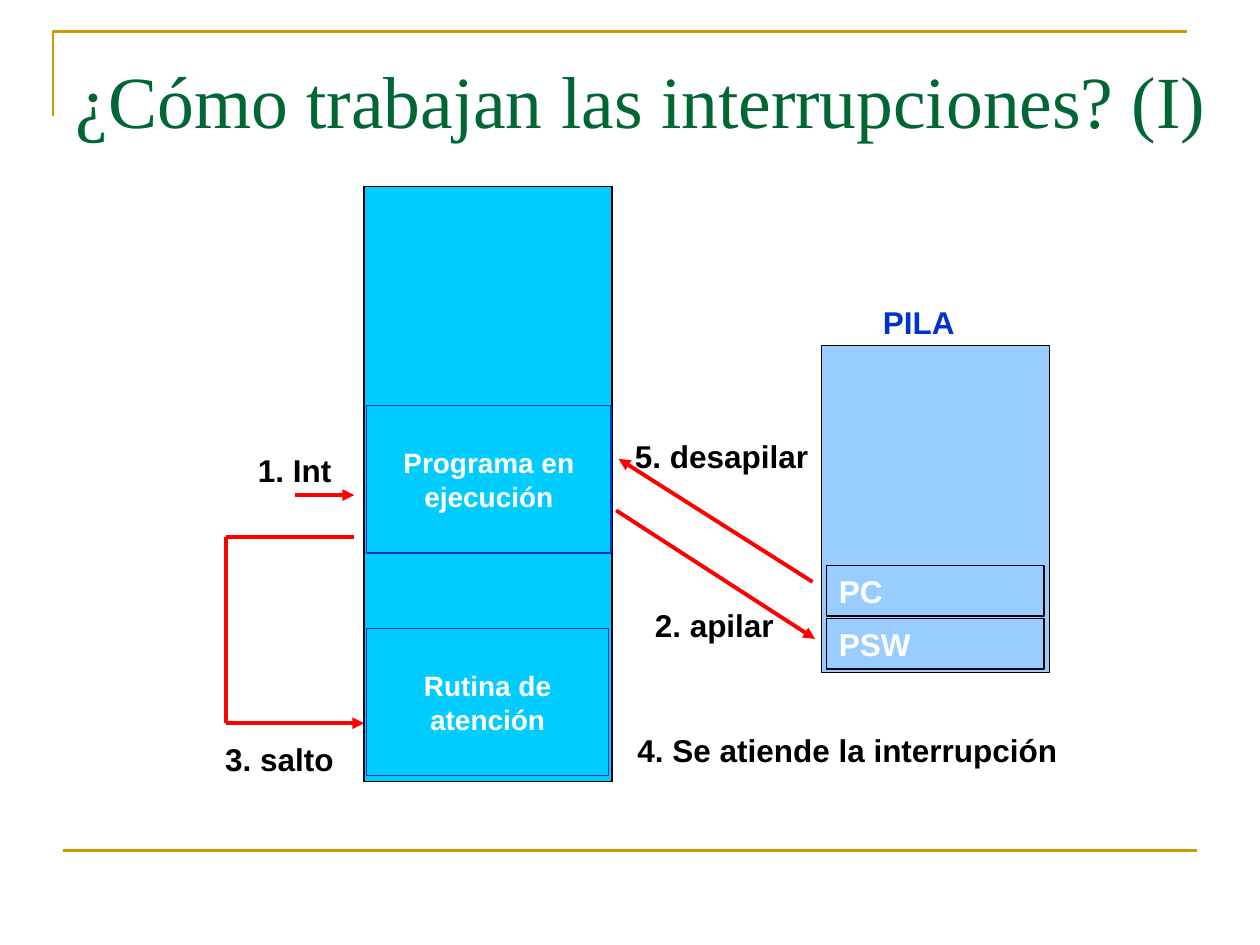
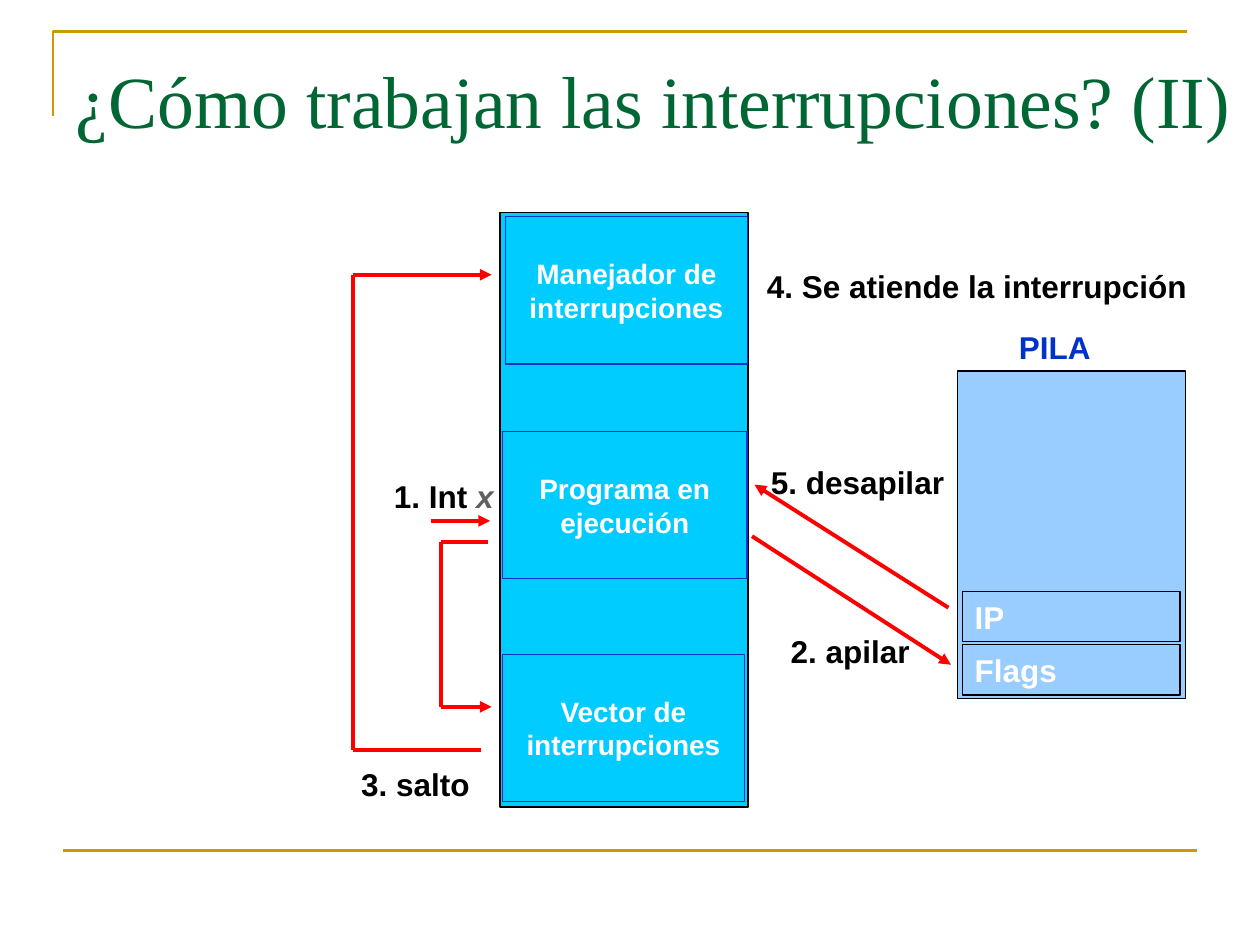
from itertools import pairwise

from lxml import etree
from pptx import Presentation
from pptx.dml.color import RGBColor
from pptx.enum.shapes import MSO_CONNECTOR, MSO_SHAPE
from pptx.enum.text import MSO_ANCHOR, PP_ALIGN
from pptx.oxml.ns import qn
from pptx.util import Cm, Pt

STRAIGHT = MSO_CONNECTOR.STRAIGHT
RECTANGLE = MSO_SHAPE.RECTANGLE
TOP, MIDDLE = MSO_ANCHOR.TOP, MSO_ANCHOR.MIDDLE
LEFT, CENTER = PP_ALIGN.LEFT, PP_ALIGN.CENTER

GOLD, GREEN, BLUE, RED = "CC9900", "006633", "0033CC", "FF0000"
CYAN, PALE_BLUE = "00CCFF", "99CCFF"
BLACK, WHITE, GREY = "000000", "FFFFFF", "5F5F5F"

TITLE_FONT = {"name": "Times New Roman", "size": Pt(42)}
LABEL_FONT = {"name": "Arial", "size": Pt(18), "bold": True}
BLOCK_FONT = LABEL_FONT | {"size": Pt(16)}
ITALIC_FONT = LABEL_FONT | {"italic": True}

BLOCK_HEIGHT = 2.97
ROW_HEIGHT, ROW_STEP = 1.02, 1.07


def color(hex_code):
    """Turn a hex string into a colour."""
    return RGBColor.from_string(hex_code)


def assign(target, values):
    """Set each named attribute of the target."""
    for name, value in values.items():
        setattr(target, name, value)


class Diagram:
    """Style and current slide, with lengths in centimetres from an origin."""

    def __init__(self):
        """Start an empty deck."""
        self.deck = Presentation()
        assign(self.deck, {"slide_width": Cm(25.4), "slide_height": Cm(19.05)})

    def new_slide(self, title, origin):
        """Add a slide with its gold frame and title, then move the origin."""
        self.shapes = self.deck.slides.add_slide(self.deck.slide_layouts[6]).shapes
        self.origin = (0, 0)
        self.corner((1.07, 2.34), (1.07, 0.64), (23.93, 0.64))
        self.route((1.27, 17.15), (24.13, 17.15), ink=GOLD, width=1.5, arrow=False)
        self.label(title, 1.28, 0.97, 23.8, GREEN, TITLE_FONT, height=2)
        self.origin = origin

    def place(self, x, y):
        """Shift a point by the origin."""
        return Cm(x + self.origin[0]), Cm(y + self.origin[1])

    def corner(self, start, *others):
        """Draw the open outline at the top left."""
        builder = self.shapes.build_freeform(*self.place(*start))
        builder.add_line_segments([self.place(*point) for point in others], close=False)
        outline = builder.convert_to_shape()
        outline.shadow.inherit = False
        outline.fill.background()
        self.stroke(outline.line, GOLD, 1.5)

    def stroke(self, line, ink, width):
        """Colour a line and set its width."""
        line.color.rgb = color(ink)
        line.width = Pt(width)

    def route(self, *points, ink=RED, width=2.25, arrow=True):
        """Join points with straight lines, the last one ending in an arrowhead."""
        for start, end in pairwise(points):
            segment = self.shapes.add_connector(STRAIGHT, *self.place(*start), *self.place(*end))
            self.stroke(segment.line, ink, width)
            etree.SubElement(segment._element.spPr, qn("a:effectLst"))
        if arrow:
            outline = segment._element.spPr.find(qn("a:ln"))
            etree.SubElement(outline, qn("a:tailEnd"), type="triangle")

    def set_text(self, frame, text, ink, font, align=LEFT, anchor=TOP):
        """Fill a text frame with one paragraph."""
        assign(frame, {"word_wrap": True, "vertical_anchor": anchor,
                       "margin_left": Cm(0.25), "margin_top": Cm(0.13),
                       "margin_right": Cm(0.25 if align == CENTER else 0),
                       "margin_bottom": Cm(0.13)})
        frame.paragraphs[0].alignment = align
        self.add_text(frame, text, ink, font)

    def add_text(self, frame, text, ink, font):
        """Add a run to the first paragraph."""
        run = frame.paragraphs[0].add_run()
        run.text = text
        assign(run.font, font)
        run.font.color.rgb = color(ink)

    def label(self, text, x, y, width, ink=BLACK, font=LABEL_FONT, height=ROW_HEIGHT):
        """Add free text and return its frame."""
        frame = self.shapes.add_textbox(*self.place(x, y), Cm(width), Cm(height)).text_frame
        self.set_text(frame, text, ink, font)
        return frame

    def box(self, x, y, width, height, fill=None, ink=BLACK):
        """Add a rectangle with a thin outline and return it."""
        area = self.shapes.add_shape(RECTANGLE, *self.place(x, y), Cm(width), Cm(height))
        area.shadow.inherit = False
        self.stroke(area.line, ink, 0.75)
        if fill:
            area.fill.solid()
            area.fill.fore_color.rgb = color(fill)
        else:
            area.fill.background()
        return area

    def block(self, text, x, y, width=4.88):
        """Add a code block inside the memory."""
        area = self.box(x, y, width, BLOCK_HEIGHT, ink=BLUE)
        self.set_text(area.text_frame, text, WHITE, BLOCK_FONT, CENTER, MIDDLE)

    def memory(self, lower_block):
        """Draw the memory with the running program and the lower block."""
        self.box(7.34, 3.76, 5, 11.99, CYAN)
        self.block(lower_block, 7.39, 12.67)
        self.block("Programa en ejecución", 7.39, 8.18, 4.93)

    def stack(self, registers):
        """Draw the stack with its saved registers."""
        self.label("PILA", 17.55, 5.97, 2.1, BLUE)
        self.box(16.56, 6.96, 4.6, 6.6, PALE_BLUE)
        for row, register in enumerate(registers):
            cell = self.box(16.66, 11.4 + row * ROW_STEP, 4.39, ROW_HEIGHT)
            self.set_text(cell.text_frame, register, WHITE, LABEL_FONT)

    def interruption(self, title, origin, lower_block, registers, service_at):
        """Draw what both slides share and return the frame of the first step."""
        self.new_slide(title, origin)
        self.memory(lower_block)
        self.stack(registers)
        self.route((5.94, 9.98), (7.14, 9.98))
        self.route((12.42, 10.29), (16.43, 12.88))
        self.route((16.38, 11.73), (12.47, 9.25))
        self.label("2. apilar", 12.95, 12.09, 2.9)
        self.label("3. salto", 4.29, 14.78, 2.7)
        self.label("4. Se atiende la interrupción", *service_at, 8.97)
        self.label("5. desapilar", 12.55, 8.69, 3.99)
        return self.label("1. Int", 4.95, 8.97, 2.6)


def main():
    """Build both slides and save them."""
    diagram = Diagram()
    diagram.interruption("¿Cómo trabajan las interrupciones? (I)", (0, 0),
                         "Rutina de atención", ("PC", "PSW"), (12.6, 14.6))
    diagram.route((7.14, 10.82), (4.55, 10.82), (4.55, 14.58), (7.34, 14.58))

    first_step = diagram.interruption("¿Cómo trabajan las interrupciones? (II)", (2.74, 0.52),
                                      "Vector de interrupciones", ("IP", "Flags"), (12.47, 4.74))
    diagram.add_text(first_step, " x", GREY, ITALIC_FONT)
    diagram.block("Manejador de interrupciones", 7.45, 3.85)
    diagram.route((7.09, 10.4), (6.15, 10.4), (6.15, 13.73), (7.17, 13.73))
    diagram.route((6.96, 14.59), (4.37, 14.59), (4.37, 5.02), (7.17, 5.02))
    diagram.deck.save("out.pptx")


if __name__ == "__main__":
    main()
